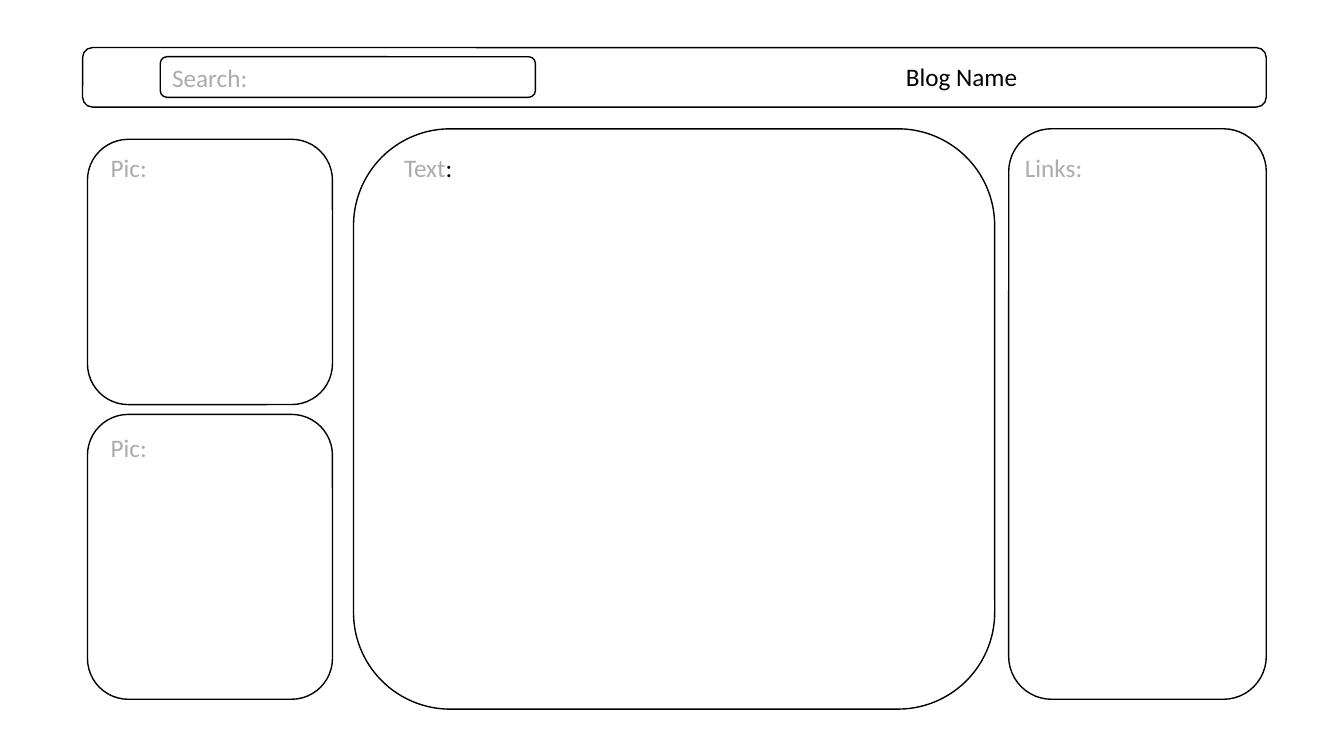
import dataclasses

import pptx
import pptx.dml.color
import pptx.enum.shapes
import pptx.enum.text
import pptx.util

Pt = pptx.util.Pt
Color = pptx.dml.color.RGBColor


@dataclasses.dataclass(frozen=True)
class Theme:
    font: str = "Calibri"
    size: float = 18
    line_width: float = 1
    fill: Color = Color(255, 255, 255)
    ink: Color = Color(0, 0, 0)
    hint: Color = Color(0xAF, 0xAB, 0xAB)


theme = Theme()


def add_panel(slide, left, top, width, height):
    panel = slide.shapes.add_shape(
        pptx.enum.shapes.MSO_SHAPE.ROUNDED_RECTANGLE,
        Pt(left), Pt(top), Pt(width), Pt(height))
    panel.shadow.inherit = False
    panel.fill.solid()
    panel.fill.fore_color.rgb = theme.fill
    panel.line.color.rgb = theme.ink
    panel.line.width = Pt(theme.line_width)
    return panel


def write_runs(shape, *runs):
    paragraph = shape.text_frame.paragraphs[0]
    paragraph.alignment = pptx.enum.text.PP_ALIGN.LEFT
    paragraph.font.name = theme.font
    paragraph.font.size = Pt(theme.size)
    for text, color in runs:
        run = paragraph.add_run()
        run.text = text
        run.font.color.rgb = color


def add_label(slide, left, top, width, *runs):
    label = slide.shapes.add_textbox(Pt(left), Pt(top), Pt(width), Pt(29))
    label.text_frame.word_wrap = True
    write_runs(label, *runs)


def add_header(slide, left, top, width, height):
    add_panel(slide, left, top, width, height)
    add_label(slide, left + 581, top + 6.5, width - 581, ("Blog Name", theme.ink))
    search = add_panel(slide, left + 55.5, top + 6.5, 268, 29)
    search.text_frame.vertical_anchor = pptx.enum.text.MSO_ANCHOR.MIDDLE
    write_runs(search, ("Search:", theme.hint))


def add_section(slide, box, label_offset, label_width, *runs):
    left, top, width, height = box
    inset, drop = label_offset
    add_panel(slide, left, top, width, height)
    add_label(slide, left + inset, top + drop, label_width, *runs)


def build_blog_layout(slide):
    add_header(slide, 59, 34, 845.5, 42.5)
    picture_label = ("Pic:", theme.hint)
    add_section(slide, (62.5, 99.5, 175, 189.5), (9.5, 5.5), 49, picture_label)
    add_section(slide, (62.5, 296, 175, 203.5), (9.5, 9.5), 49, picture_label)
    add_section(slide, (720.5, 92, 184, 407.5), (4.5, 13), 65.5, ("Links:", theme.hint))
    add_section(slide, (252.5, 92, 458, 414.5), (29, 13), 87,
                ("Text", theme.hint), (":", theme.ink))


presentation = pptx.Presentation()
presentation.slide_width = Pt(960)
presentation.slide_height = Pt(540)
blank_layout = presentation.slide_layouts.get_by_name("Blank")
build_blog_layout(presentation.slides.add_slide(blank_layout))
presentation.save("out.pptx")
